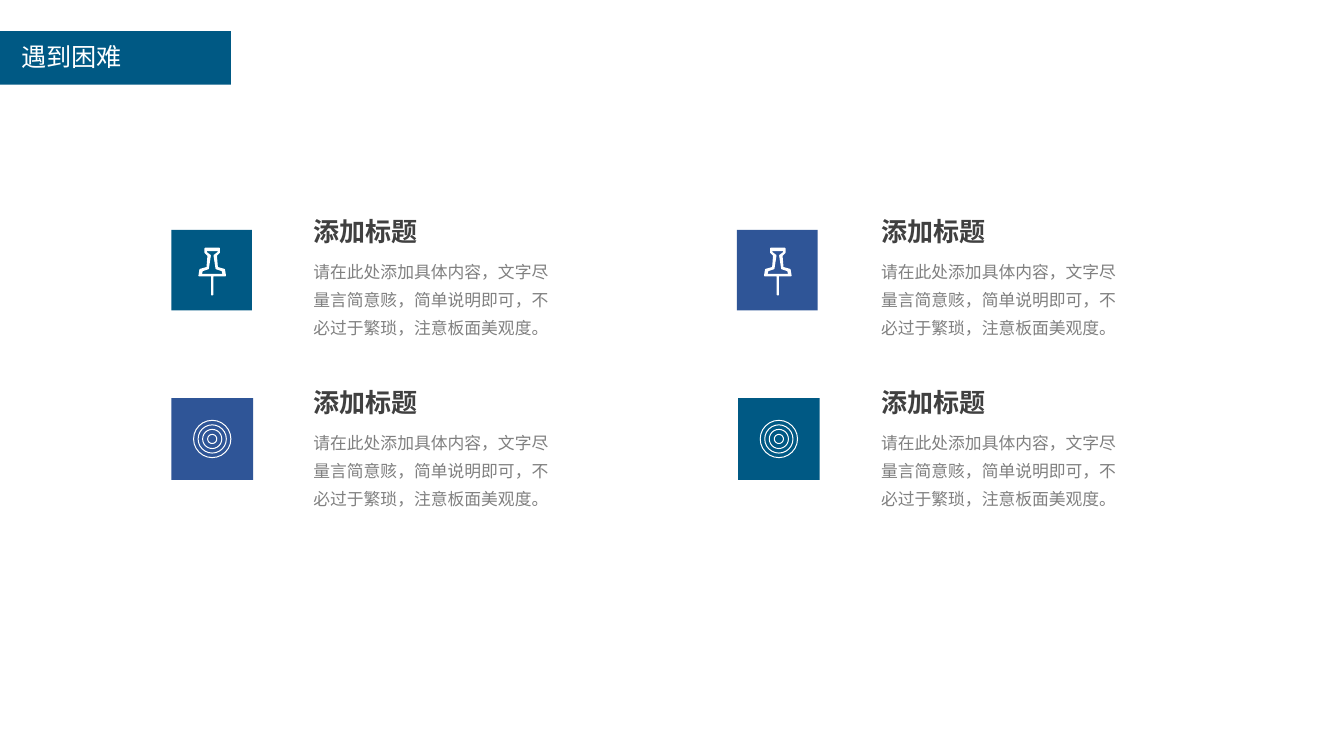
from math import cos, pi, sin

from lxml.etree import SubElement
from pptx import Presentation
from pptx.dml.color import RGBColor
from pptx.enum.shapes import MSO_SHAPE
from pptx.enum.text import MSO_ANCHOR, PP_ALIGN
from pptx.oxml.ns import qn
from pptx.util import Inches, Pt

FONT = "Noto Sans CJK SC"
TEAL, BLUE, WHITE = "005984", "2F5597", "FFFFFF"
DARK, GREY = "404040", "808080"

TITLE = "遇到困难"
HEAD = "添加标题"
BODY = "请在此处添加具体内容，文字尽量言简意赅，简单说明即可，不必过于繁琐，注意板面美观度。"

TEXT_X = (3.01, 8.64)
# Tile top, tile size, heading top, body top, icon, (tile left, colour) by column
ROWS = [
    (2.28, 0.8, 2.09, 2.47, "pin", [(1.7, TEAL), (7.31, BLUE)]),
    (3.95, 0.81, 3.78, 4.17, "rings", [(1.7, BLUE), (7.32, TEAL)]),
]

# Icons are in hundredths of an inch from the tile's centre
# Right halves of the pin's contours, then its axis and drop
PIN = [
    [(6, -20), (6, -18), (2, -15), (4, -2), (10, 0), (11, 4)],
    [(7, -22), (7, -18), (4, -15), (5, -3), (12, -1), (13, 5),
     (0.5, 5), (0.5, 24)],
]
AXIS, DROP = 0.5, 0.5
RADII = [19, 18, 14.5, 13.5, 10, 9, 5, 4]
STEPS = 24


def color(text):
    return RGBColor.from_string(text)


def mirror(half):
    """Close a right half with its reflection about the pin's axis."""
    whole = half + [(-x, y) for x, y in reversed(half)]
    return [(x + AXIS, y + DROP) for x, y in whole]


def circle(radius):
    turns = [2 * pi * i / STEPS for i in range(STEPS)]
    return [(radius * cos(a), radius * sin(a)) for a in turns]


ICONS = {
    "pin": [mirror(half) for half in PIN],
    "rings": [circle(radius) for radius in RADII],
}


def paint(shape, fill):
    shape.shadow.inherit = False
    shape.fill.solid()
    shape.fill.fore_color.rgb = color(fill)
    shape.line.fill.background()


def add_box(shapes, left, top, width, height, fill):
    box = shapes.add_shape(MSO_SHAPE.RECTANGLE, Inches(left), Inches(top),
                           Inches(width), Inches(height))
    paint(box, fill)
    return box


def add_icon(shapes, kind, mid_x, mid_y):
    build = None
    for loop in ICONS[kind]:
        pts = [(Inches(mid_x + x / 100), Inches(mid_y + y / 100))
               for x, y in loop]
        if build is None:
            build = shapes.build_freeform(*pts[0])
        else:
            build.move_to(*pts[0])
        build.add_line_segments(pts[1:], close=True)
    icon = build.convert_to_shape()
    paint(icon, WHITE)
    if kind == "pin":
        icon.line.color.rgb = color(WHITE)
        icon.line.width = Pt(1)


def write(shape, text, size, fill, bold=False, space=None, align=None):
    frame = shape.text_frame
    frame.word_wrap = True
    frame.vertical_anchor = MSO_ANCHOR.TOP
    frame.text = text
    para = frame.paragraphs[0]
    para.line_spacing = space
    para.alignment = align
    font = para.font
    font.name, font.size, font.bold = FONT, Pt(size), bold
    font.color.rgb = color(fill)
    for props in shape.element.iter(qn("a:defRPr")):
        SubElement(props, qn("a:ea")).set("typeface", FONT)


def add_text(shapes, left, top, width, height, *args, **opts):
    box = shapes.add_textbox(Inches(left), Inches(top),
                             Inches(width), Inches(height))
    write(box, *args, **opts)


def main():
    deck = Presentation()
    deck.slide_width, deck.slide_height = Inches(13.33), Inches(7.5)
    slide = deck.slides.add_slide(deck.slide_layouts[5])
    shapes = slide.shapes

    title = shapes.title
    title.left, title.top = Inches(0.11), Inches(0.36)
    title.width, title.height = Inches(2.17), Inches(0.43)
    write(title, TITLE, 18, WHITE, align=PP_ALIGN.LEFT)
    banner = add_box(shapes, 0, 0.31, 2.29, 0.53, TEAL)
    title.element.addprevious(banner.element)  # banner goes behind the title

    for top, size, head, body, kind, tiles in ROWS:
        for text_x, (left, fill) in zip(TEXT_X, tiles):
            add_box(shapes, left, top, size, size, fill)
            add_icon(shapes, kind, left + size / 2, top + size / 2)
            add_text(shapes, text_x, body, 2.6, 0.94,
                     BODY, 12, GREY, space=Pt(20))
            add_text(shapes, text_x, head, 2.12, 0.41,
                     HEAD, 18.6, DARK, bold=True)

    deck.save("out.pptx")


if __name__ == "__main__":
    main()
